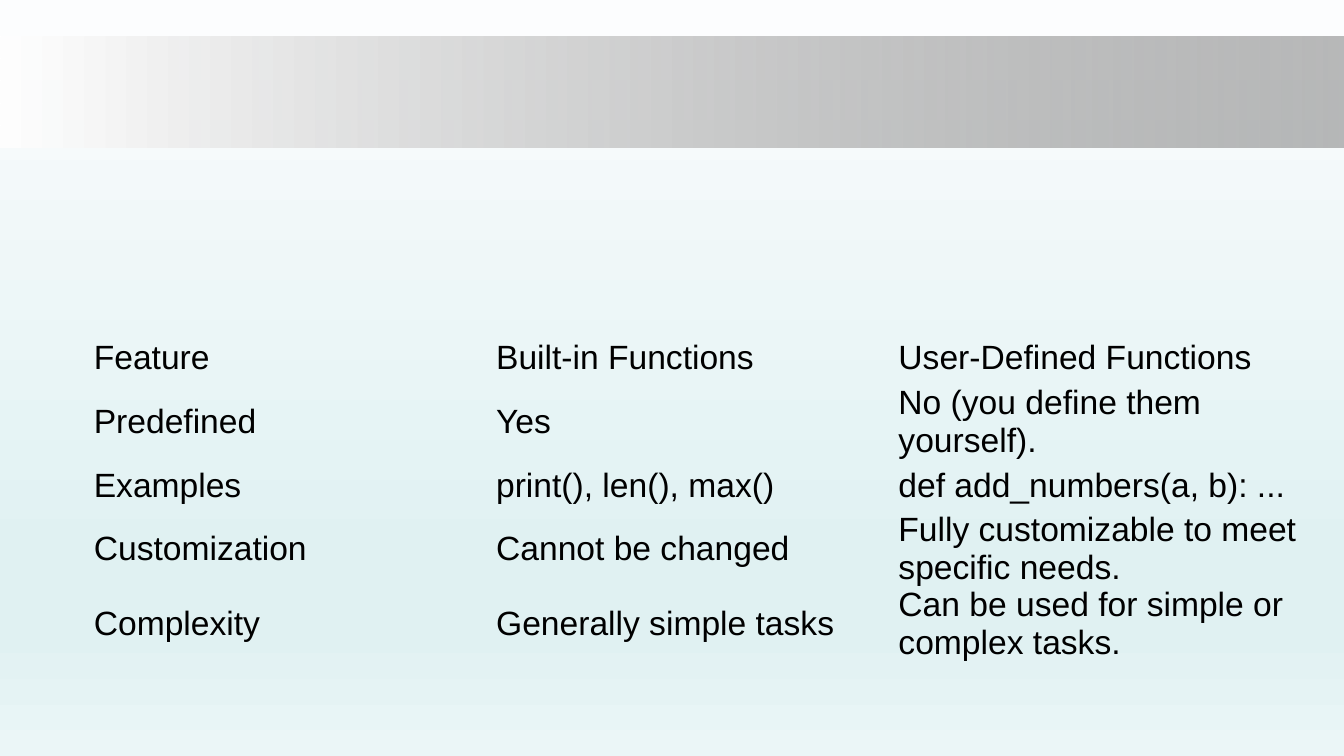
from lxml import etree
from pptx import Presentation
from pptx.dml.color import RGBColor
from pptx.enum.shapes import MSO_SHAPE
from pptx.enum.text import MSO_ANCHOR, PP_ALIGN
from pptx.oxml.ns import qn
from pptx.util import Pt

RECTANGLE = MSO_SHAPE.RECTANGLE
MIDDLE = MSO_ANCHOR.MIDDLE
LEFT = PP_ALIGN.LEFT

BLACK = RGBColor(0x00, 0x00, 0x00)
WHITE = RGBColor(0xFF, 0xFF, 0xFF)
GREY = RGBColor(0x80, 0x80, 0x80)
NEAR_WHITE = RGBColor(0xFC, 0xFD, 0xFE)
PALE_TEAL = RGBColor(0xE0, 0xF1, 0xF2)
LIGHT_TEAL = RGBColor(0xEB, 0xF6, 0xF7)

SLIDE_WIDTH, SLIDE_HEIGHT = 960, 540
COLUMN_WIDTH, ROW_HEIGHT = 287.4, 37.44
NO_STYLE_NO_GRID = "{2D5ABB26-0587-4C30-8999-92F81FD0307C}"

# Gradient stops: position in percent, colour, opacity in percent
BACKDROP_STOPS = [(0, NEAR_WHITE, 100), (74, PALE_TEAL, 100),
                  (83, PALE_TEAL, 100), (100, LIGHT_TEAL, 100)]
BAND_STOPS = [(0, WHITE, 100), (100, GREY, 54)]

COMPARISON = [
    ("Feature", "Built-in Functions", "User-Defined Functions"),
    ("Predefined", "Yes", "No (you define them yourself)."),
    ("Examples", "print(), len(), max()", "def add_numbers(a, b): ..."),
    ("Customization", "Cannot be changed",
     "Fully customizable to meet specific needs."),
    ("Complexity", "Generally simple tasks",
     "Can be used for simple or complex tasks."),
]


def set_gradient(fill, owner, stops, angle):
    """Fill with any number of stops; the angle runs clockwise in degrees."""
    fill.gradient()
    gradient = next(owner.iter(qn("a:gradFill")))
    stop_list = gradient.find(qn("a:gsLst"))
    for default_stop in list(stop_list):
        stop_list.remove(default_stop)
    for position, color, opacity in stops:
        stop = etree.SubElement(stop_list, qn("a:gs"), pos=str(position * 1000))
        rgb = etree.SubElement(stop, qn("a:srgbClr"), val=str(color))
        if opacity < 100:
            etree.SubElement(rgb, qn("a:alpha"), val=str(opacity * 1000))
    gradient.find(qn("a:lin")).set("ang", str(angle * 60000))


def write_text(frame, text, *, size=24, font="Arial", color=BLACK, align=LEFT):
    paragraph = frame.paragraphs[0]
    paragraph.alignment = align
    run = paragraph.add_run()
    run.text = text
    run.font.size = Pt(size)
    run.font.name = font
    run.font.color.rgb = color


def add_header_band(slide):
    band = slide.shapes.add_shape(RECTANGLE, 0, Pt(26), Pt(SLIDE_WIDTH), Pt(79.5))
    band.shadow.inherit = False
    band.line.fill.background()
    set_gradient(band.fill, band.element, BAND_STOPS, angle=0)


def add_comparison_table(slide, left, top, rows):
    row_count, column_count = len(rows), len(rows[0])
    frame = slide.shapes.add_table(
        row_count, column_count, Pt(left), Pt(top),
        Pt(COLUMN_WIDTH * column_count), Pt(ROW_HEIGHT * row_count))
    table = frame.table
    table.first_row = False
    table.horz_banding = False
    next(frame.element.iter(qn("a:tableStyleId"))).text = NO_STYLE_NO_GRID
    for column in table.columns:
        column.width = Pt(COLUMN_WIDTH)
    for table_row, texts in zip(table.rows, rows):
        table_row.height = Pt(ROW_HEIGHT)
        for cell, text in zip(table_row.cells, texts):
            cell.fill.background()
            cell.vertical_anchor = MIDDLE
            cell.margin_left = cell.margin_right = 0
            cell.margin_top = cell.margin_bottom = 0
            write_text(cell.text_frame, text)


def main():
    presentation = Presentation()
    presentation.slide_width = Pt(SLIDE_WIDTH)
    presentation.slide_height = Pt(SLIDE_HEIGHT)
    slide = presentation.slides.add_slide(presentation.slide_layouts[6])

    # Backdrop and header band
    set_gradient(slide.background.fill, slide.element, BACKDROP_STOPS, angle=90)
    add_header_band(slide)

    # Built-in and user-defined functions compared
    add_comparison_table(slide, 67, 237, COMPARISON)

    presentation.save("out.pptx")


if __name__ == "__main__":
    main()
